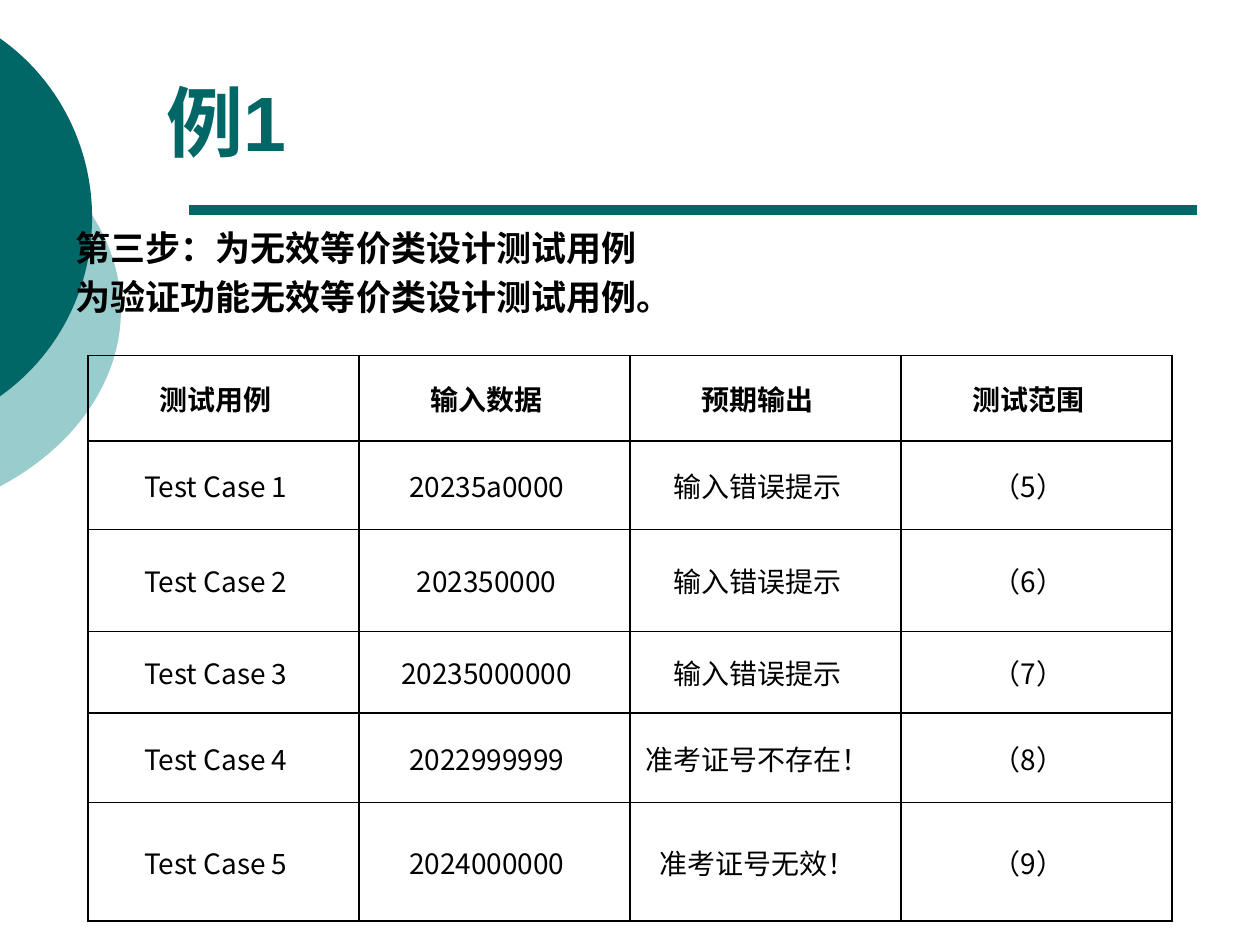
import math
from dataclasses import dataclass

import pptx
import pptx.dml.color
import pptx.enum.shapes
import pptx.enum.text
import pptx.oxml
import pptx.oxml.ns
import pptx.util

Pt = pptx.util.Pt
ALIGN = pptx.enum.text.PP_ALIGN
ANCHOR = pptx.enum.text.MSO_ANCHOR
NS = pptx.oxml.ns.nsdecls("a")

TEAL, PALE, BLACK = "006666", "99CCCC", "000000"
CJK = "Noto Sans CJK SC"
TITLE = dict(name="Arial", size=Pt(44), bold=True)
BODY = dict(name="Arial", size=Pt(20), bold=True)
HEAD = dict(name=CJK, size=Pt(16), bold=True)
CELL = dict(name=CJK, size=Pt(16), bold=False)


@dataclass
class Disc:
    """Frame of an ellipse that is cut at the left slide edge."""
    left: float
    top: float
    width: float
    height: float
    color: str


DISCS = [
    Disc(-254.9, 54, 324, 246.2, PALE),
    Disc(-190.8, 0, 243.4, 248.4, TEAL),
]
ROWS = [
    ("测试用例", "输入数据", "预期输出", "测试范围"),
    ("Test Case 1", "20235a0000", "输入错误提示", "（5）"),
    ("Test Case 2", "202350000", "输入错误提示", "（6）"),
    ("Test Case 3", "20235000000", "输入错误提示", "（7）"),
    ("Test Case 4", "2022999999", "准考证号不存在！", "（8）"),
    ("Test Case 5", "2024000000", "准考证号无效！", "（9）"),
]
HEIGHTS = [49, 50.4, 58.3, 46.8, 51.1, 67.7]
COL_WIDTH = 154.8


def rgb(value: str) -> pptx.dml.color.RGBColor:
    return pptx.dml.color.RGBColor.from_string(value)


def set_attrs(obj, values: dict) -> None:
    for key, value in values.items():
        setattr(obj, key, value)


def place(sp, left: float, top: float, width: float, height: float) -> None:
    set_attrs(sp, dict(left=Pt(left), top=Pt(top),
                       width=Pt(width), height=Pt(height)))


def add_text(p, text: str, fmt: dict, color: str = BLACK) -> None:
    r = p.add_run()
    r.text = text
    set_attrs(r.font, fmt)
    r.font.color.rgb = rgb(color)
    r.font._element.append(
        pptx.oxml.parse_xml(f'<a:ea {NS} typeface="{CJK}"/>'))


def add_disc(shapes, disc: Disc) -> None:
    """Draw the part right of the slide edge as two Bezier arcs."""
    rx, ry = disc.width / 2, disc.height / 2
    end = math.acos(-(disc.left + rx) / rx)
    k = 4 / 3 * math.tan(end / 4)

    def point(angle: float, pull: float = 0) -> tuple[int, int]:
        c, n = math.cos(angle), math.sin(angle)
        return (Pt(rx * (1 + c - pull * n)), Pt(ry * (1 + n + pull * c)))

    builder = shapes.build_freeform(*point(-end))
    builder.add_line_segments([point(0), point(end)], close=True)
    sp = builder.convert_to_shape()

    # Bend the two segments and let the frame span the whole ellipse
    def pt_xml(xy: tuple[int, int]) -> str:
        return f'<a:pt x="{xy[0]}" y="{xy[1]}"/>'

    arcs = "".join(
        "<a:cubicBezTo>" + pt_xml(point(a, k)) + pt_xml(point(b, -k))
        + pt_xml(point(b)) + "</a:cubicBezTo>"
        for a, b in ((-end, 0), (0, end)))
    outline = pptx.oxml.parse_xml(
        f'<a:path {NS} w="{Pt(disc.width)}" h="{Pt(disc.height)}"><a:moveTo>'
        f"{pt_xml(point(-end))}</a:moveTo>{arcs}<a:close/></a:path>")
    old = sp._element.spPr.find(".//" + pptx.oxml.ns.qn("a:path"))
    old.getparent().replace(old, outline)
    place(sp, disc.left, disc.top, disc.width, disc.height)
    sp.shadow.inherit = False
    sp.fill.solid()
    sp.fill.fore_color.rgb = rgb(disc.color)
    sp.line.fill.background()


def add_rule(shapes, x1: float, x2: float, y: float) -> None:
    line = shapes.add_connector(
        pptx.enum.shapes.MSO_CONNECTOR.STRAIGHT, Pt(x1), Pt(y), Pt(x2), Pt(y))
    line.line.color.rgb = rgb(TEAL)
    line.line.width = Pt(6)
    line._element.spPr.append(pptx.oxml.parse_xml(f"<a:effectLst {NS}/>"))


def style_cell(cell, text: str, fmt: dict) -> None:
    set_attrs(cell, dict(margin_left=0, margin_right=Pt(9),
                         margin_top=Pt(7.2), margin_bottom=Pt(7.2),
                         vertical_anchor=ANCHOR.MIDDLE))
    p = cell.text_frame.paragraphs[0]
    p.alignment = ALIGN.CENTER
    add_text(p, text, fmt)
    tc_pr = cell._tc.get_or_add_tcPr()
    for side in ("lnL", "lnR", "lnT", "lnB"):
        tc_pr.append(pptx.oxml.parse_xml(
            f'<a:{side} {NS} w="{Pt(1)}"><a:solidFill>'
            f'<a:srgbClr val="{BLACK}"/></a:solidFill></a:{side}>'))
    cell.fill.background()


def add_grid(shapes) -> None:
    table = shapes.add_table(
        len(ROWS), len(ROWS[0]), Pt(50.4), Pt(203.1),
        Pt(COL_WIDTH * len(ROWS[0])), Pt(sum(HEIGHTS))).table
    set_attrs(table, dict(first_row=False, horz_banding=False))
    for col in table.columns:
        col.width = Pt(COL_WIDTH)
    for i, (row, height) in enumerate(zip(ROWS, HEIGHTS)):
        table.rows[i].height = Pt(height)
        for j, text in enumerate(row):
            style_cell(table.cell(i, j), text, CELL if i else HEAD)


def main() -> None:
    prs = pptx.Presentation()
    set_attrs(prs, dict(slide_width=Pt(720), slide_height=Pt(540)))
    s = prs.slides.add_slide(prs.slide_layouts[1])
    title, body = s.placeholders

    # Background decoration, kept behind the placeholders
    for disc in DISCS:
        add_disc(s.shapes, disc)
    add_rule(s.shapes, 108, 684, 120)
    for sp in (title, body):
        s.shapes._spTree.append(sp._element)

    # Title
    place(title, 87.8, 9, 612, 90)
    title.text_frame.vertical_anchor = ANCHOR.BOTTOM
    p = title.text_frame.paragraphs[0]
    p.alignment = ALIGN.LEFT
    add_text(p, "例1", TITLE, TEAL)

    # Body lines without bullets
    place(body, 36, 126, 648, 89.3)
    tf = body.text_frame
    lines = ("第三步：为无效等价类设计测试用例", "为验证功能无效等价类设计测试用例。")
    for i, text in enumerate(lines):
        p = tf.add_paragraph() if i else tf.paragraphs[0]
        set_attrs(p, dict(line_spacing=1.0, space_before=Pt(4 if i else 0)))
        p_pr = p._p.get_or_add_pPr()
        p_pr.set("marL", "0")
        p_pr.set("indent", "0")
        p_pr.append(pptx.oxml.parse_xml(f"<a:buNone {NS}/>"))
        add_text(p, text, BODY)

    # Test case table
    add_grid(s.shapes)
    prs.save("out.pptx")


if __name__ == "__main__":
    main()
